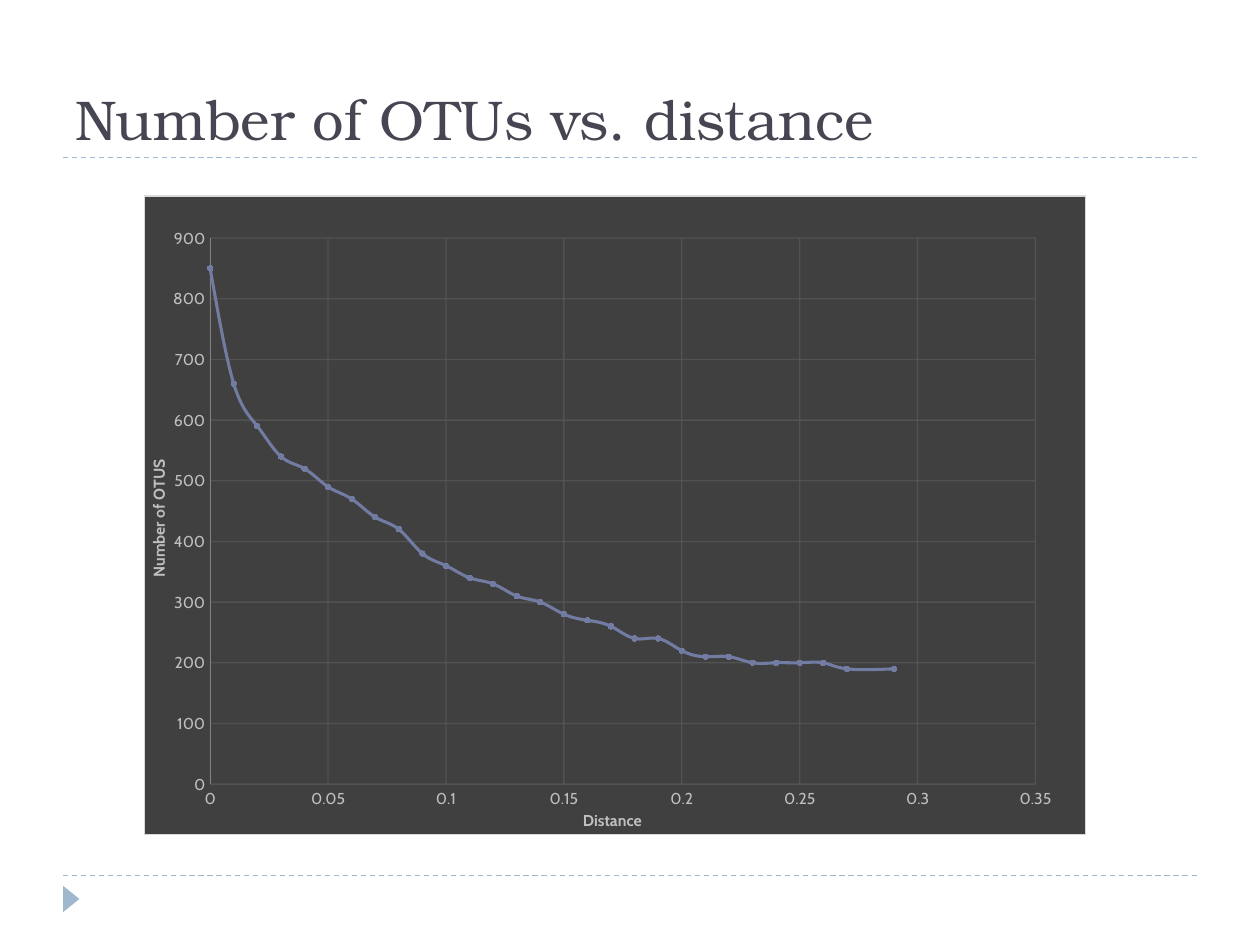
from dataclasses import dataclass

import pptx
import pptx.chart.data
import pptx.dml.color
import pptx.enum.chart
import pptx.enum.dml
import pptx.enum.shapes
import pptx.enum.text
import pptx.oxml
import pptx.oxml.ns
import pptx.util
from lxml import etree


@dataclass(frozen=True)
class Theme:
    title_font: str = "TeX Gyre Bonum"
    chart_font: str = "Cabin"
    title_size: int = 32
    chart_size: int = 10
    axis_size: int = 9
    title: str = "464653"
    accent: str = "9FB8CD"
    panel: str = "404040"
    border: str = "D9D9D9"
    label: str = "BFBFBF"
    grid: str = "595959"
    axis: str = "808080"
    series: str = "727CA3"
    marker: str = "AAB0C8"
    hairline: float = 0.75
    curve: float = 1.75


@dataclass(frozen=True)
class Box:
    left: float
    top: float
    width: float
    height: float

    def emu(self) -> tuple:
        return tuple(pptx.util.Inches(v) for v in
                     (self.left, self.top, self.width, self.height))


@dataclass(frozen=True)
class AxisSpec:
    title: str
    maximum: float
    step: float
    line: bool


THEME = Theme()
WIDTH, HEIGHT = 10, 7.5
MARGIN = 0.05 * WIDTH
RULES = (1.25, 6.95)
TITLE = Box(MARGIN, 0.25, WIDTH - 2 * MARGIN, 1)
CHART = Box(1.14, 1.55, 7.48, 5.08)
PLOT = {"x": 0.07, "y": 0.066, "w": 0.877, "h": 0.855}
X_AXIS = AxisSpec("Distance", 0.35, 0.05, False)
Y_AXIS = AxisSpec("Number of OTUS", 900, 100, True)
DISTANCES = [i / 100 for i in range(30) if i != 28]
OTUS = [850, 660, 590, 540, 520, 490, 470, 440, 420, 380, 360, 340, 330, 310, 300,
        280, 270, 260, 240, 240, 220, 210, 210, 200, 200, 200, 200, 190, 190]


def rgb(value: str):
    return pptx.dml.color.RGBColor.from_string(value)


def set_line(line, color: str, width: float) -> None:
    line.color.rgb = rgb(color)
    line.width = pptx.util.Pt(width)


def set_font(font, name: str, size: float, color: str, bold: bool = False) -> None:
    font.name, font.size, font.bold = name, pptx.util.Pt(size), bold
    font.color.rgb = rgb(color)


def add_rule(slide, y: float) -> None:
    sp = slide.shapes.add_connector(
        pptx.enum.shapes.MSO_CONNECTOR.STRAIGHT,
        *(pptx.util.Inches(v) for v in (MARGIN, y, WIDTH - MARGIN, y)))
    set_line(sp.line, THEME.accent, THEME.hairline)
    sp.line.dash_style = pptx.enum.dml.MSO_LINE.DASH
    etree.SubElement(sp._element.spPr, pptx.oxml.ns.qn("a:effectLst"))


def add_arrow(slide, box: Box) -> None:
    sp = slide.shapes.add_shape(
        pptx.enum.shapes.MSO_SHAPE.ISOSCELES_TRIANGLE, *box.emu())
    sp.rotation = 90
    sp.shadow.inherit = False
    sp.fill.solid()
    sp.fill.fore_color.rgb = rgb(THEME.accent)
    sp.line.fill.background()


def add_title(slide, box: Box, text: str) -> None:
    tf = slide.shapes.add_textbox(*box.emu()).text_frame
    tf.word_wrap = True
    tf.vertical_anchor = pptx.enum.text.MSO_ANCHOR.BOTTOM
    p = tf.paragraphs[0]
    p.text = text
    set_font(p.font, THEME.title_font, THEME.title_size, THEME.title)


def style_axis(axis, spec: AxisSpec) -> None:
    axis.minimum_scale, axis.maximum_scale = 0, spec.maximum
    axis.major_unit = spec.step
    axis.major_tick_mark = axis.minor_tick_mark = pptx.enum.chart.XL_TICK_MARK.NONE
    axis.tick_labels.number_format = "General"
    axis.tick_labels.number_format_is_linked = False
    set_font(axis.tick_labels.font, THEME.chart_font, THEME.axis_size, THEME.label)
    axis.has_major_gridlines = True
    set_line(axis.major_gridlines.format.line, THEME.grid, THEME.hairline)
    for color in axis.major_gridlines._xAx.xpath("c:majorGridlines//a:srgbClr"):
        etree.SubElement(color, pptx.oxml.ns.qn("a:alpha"), val="75000")
    if spec.line:
        set_line(axis.format.line, THEME.axis, THEME.hairline)
    else:
        axis.format.line.fill.background()
    p = axis.axis_title.text_frame.paragraphs[0]
    p.text = spec.title
    set_font(p.font, THEME.chart_font, THEME.axis_size, THEME.label, True)


def style_frame(chart) -> None:
    ns = pptx.oxml.ns.nsdecls("a", "c")
    sides = "".join(f'<c:{k} val="{v}"/>' for k, v in PLOT.items())
    layout = pptx.oxml.parse_xml(
        f'<c:layout {ns}><c:manualLayout><c:layoutTarget val="inner"/>'
        f'<c:xMode val="edge"/><c:yMode val="edge"/>{sides}'
        '</c:manualLayout></c:layout>')
    space = chart._chartSpace
    area = space.chart.plotArea
    for old in area.xpath("c:layout"):
        area.remove(old)
    area.insert(0, layout)
    space.chart.addnext(pptx.oxml.parse_xml(
        f'<c:spPr {ns}><a:solidFill><a:srgbClr val="{THEME.panel}"/></a:solidFill>'
        f'<a:ln w="{pptx.util.Pt(THEME.hairline)}"><a:solidFill>'
        f'<a:srgbClr val="{THEME.border}"/></a:solidFill></a:ln></c:spPr>'))


def add_curve(slide, box: Box) -> None:
    data = pptx.chart.data.XyChartData()
    points = data.add_series("Series 1")
    for x, y in zip(DISTANCES, OTUS):
        points.add_data_point(x, y)
    chart = slide.shapes.add_chart(
        pptx.enum.chart.XL_CHART_TYPE.XY_SCATTER_SMOOTH, *box.emu(), data).chart
    chart.has_legend = chart.has_title = False
    set_font(chart.font, THEME.chart_font, THEME.chart_size, "000000")
    style_axis(chart.category_axis, X_AXIS)
    style_axis(chart.value_axis, Y_AXIS)
    style_frame(chart)
    plot = chart.plots[0]
    plot.vary_by_categories = False
    series = plot.series[0]
    for smooth in series._element.xpath("c:smooth"):
        smooth.set("val", "1")
    set_line(series.format.line, THEME.series, THEME.curve)
    marker = series.marker
    marker.style = pptx.enum.chart.XL_MARKER_STYLE.CIRCLE
    marker.size = 3
    marker.format.fill.solid()
    marker.format.fill.fore_color.rgb = rgb(THEME.marker)
    set_line(marker.format.line, THEME.series, THEME.hairline)


def main() -> None:
    prs = pptx.Presentation()
    prs.slide_width = pptx.util.Inches(WIDTH)
    prs.slide_height = pptx.util.Inches(HEIGHT)
    slide = prs.slides.add_slide(prs.slide_layouts[6])
    for y in RULES:
        add_rule(slide, y)
    add_arrow(slide, Box(0.46, 7.07, 0.21, 0.13))
    add_title(slide, TITLE, "Number of OTUs vs. distance")
    add_curve(slide, CHART)
    prs.save("out.pptx")


if __name__ == "__main__":
    main()
